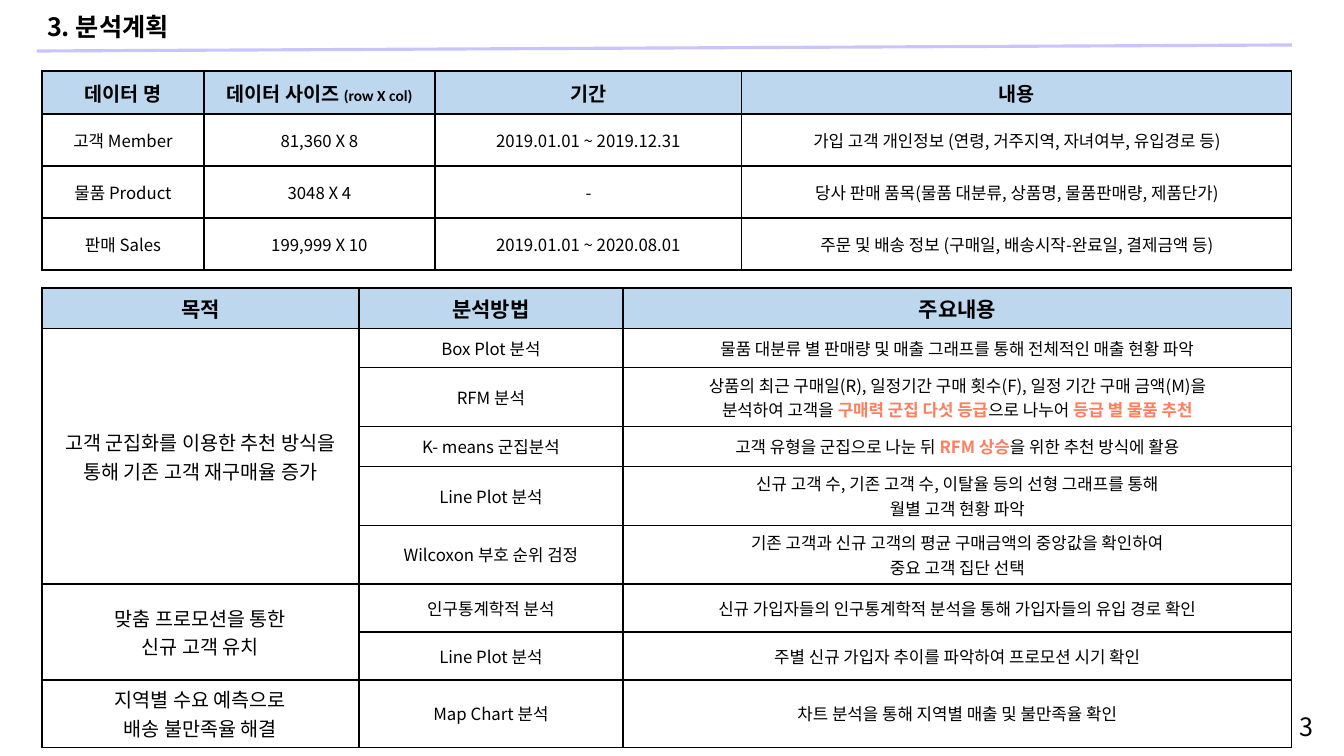
import pptx
import pptx.util
import pptx.dml.color
import pptx.enum.shapes
import pptx.enum.text
import pptx.oxml.ns
import lxml.etree

RGBColor = pptx.dml.color.RGBColor
BLACK = RGBColor(0x00, 0x00, 0x00)
HEADER_BLUE = RGBColor(0xBD, 0xD7, 0xEE)
LAVENDER = RGBColor(0xCA, 0xC4, 0xFD)
CORAL = RGBColor(0xFF, 0x7E, 0x5E)

ALIGN = pptx.enum.text.PP_ALIGN
ANCHOR = pptx.enum.text.MSO_ANCHOR
BODY_FONT = "Noto Sans CJK KR"
HEADER_FONT = "Calibri"
EMU_PER_PX = 914400 / 100.8

ACCENT = {"color": CORAL, "bold": True}

DATA_ROWS = [
    ["데이터 명", [["데이터 사이즈 ", ("(row X col)", {"size": 11})]], "기간", "내용"],
    ["고객 Member", "81,360 X 8", "2019.01.01 ~ 2019.12.31",
     "가입 고객 개인정보 (연령, 거주지역, 자녀여부, 유입경로 등)"],
    ["물품 Product", "3048 X 4", "-",
     "당사 판매 품목(물품 대분류, 상품명, 물품판매량, 제품단가)"],
    ["판매 Sales", "199,999 X 10", "2019.01.01 ~ 2020.08.01",
     "주문 및 배송 정보 (구매일, 배송시작-완료일, 결제금액 등)"],
]

PLAN_ROWS = [
    ["목적", "분석방법", "주요내용"],
    [[["고객 군집화를 이용한 추천 방식을"], ["통해 기존 고객 재구매율 증가"]],
     "Box Plot 분석",
     "물품 대분류 별 판매량 및 매출 그래프를 통해 전체적인 매출 현황 파악"],
    [None, "RFM 분석",
     [["상품의 최근 구매일(R), 일정기간 구매 횟수(F), 일정 기간 구매 금액(M)을\n분석하여 고객을 ",
       ("구매력 군집 다섯 등급", ACCENT), "으로 나누어 ",
       ("등급 별 물품 추천", ACCENT)]]],
    [None, "K- means 군집분석",
     [["고객 유형을 군집으로 나눈 뒤 ", ("RFM 상승", ACCENT),
       "을 위한 추천 방식에 활용"]]],
    [None, "Line Plot 분석",
     [["신규 고객 수, 기존 고객 수, 이탈율 등의 선형 그래프를 통해"],
      ["월별 고객 현황 파악"]]],
    [None, "Wilcoxon 부호 순위 검정",
     [["기존 고객과 신규 고객의 평균 구매금액의 중앙값을 확인하여"],
      ["중요 고객 집단 선택"]]],
    ["맞춤 프로모션을 통한\n신규 고객 유치", "인구통계학적 분석",
     "신규 가입자들의 인구통계학적 분석을 통해 가입자들의 유입 경로 확인"],
    [None, "Line Plot 분석", "주별 신규 가입자 추이를 파악하여 프로모션 시기 확인"],
    [[["지역별 수요 예측으로"], ["배송 불만족율 해결"]], "Map Chart 분석",
     "차트 분석을 통해 지역별 매출 및 불만족율 확인"],
]


def px(n):
    return pptx.util.Emu(round(n * EMU_PER_PX))


class Deck:
    def __init__(self, width, height):
        self.prs = pptx.Presentation()
        self.prs.slide_width = px(width)
        self.prs.slide_height = px(height)
        self.slide = self.prs.slides.add_slide(self.prs.slide_layouts[5])

    def add_run(self, p, text, size, font=BODY_FONT, color=BLACK, bold=False):
        for i, line in enumerate(text.split("\n")):
            if i:
                p.add_line_break()
            r = p.add_run()
            r.text = line
            r.font.size = pptx.util.Pt(size)
            r.font.bold = bold
            r.font.color.rgb = color
            r.font.name = font
            ea = lxml.etree.SubElement(r._r.get_or_add_rPr(), pptx.oxml.ns.qn("a:ea"))
            ea.set("typeface", BODY_FONT)

    def fill_text(self, tf, content, align, **style):
        paragraphs = [[content]] if isinstance(content, str) else content
        for i, runs in enumerate(paragraphs):
            p = tf.add_paragraph() if i else tf.paragraphs[0]
            p.alignment = align
            for item in runs:
                text, extra = (item, {}) if isinstance(item, str) else item
                self.add_run(p, text, **{**style, **extra})

    def title(self, text, x, y, w, h):
        sp = self.slide.shapes.title
        sp.left, sp.top, sp.width, sp.height = px(x), px(y), px(w), px(h)
        tf = sp.text_frame
        tf.auto_size = pptx.enum.text.MSO_AUTO_SIZE.NONE
        tf.word_wrap = False
        tf.vertical_anchor = ANCHOR.MIDDLE
        self.fill_text(tf, text, ALIGN.LEFT, size=18, bold=True)
        tf.paragraphs[0].line_spacing = 0.9

    def text(self, text, x, y, w, h, align):
        sp = self.slide.shapes.add_textbox(px(x), px(y), px(w), px(h))
        sp.text_frame.word_wrap = True
        self.fill_text(sp.text_frame, text, align, size=18)

    def line(self, x1, y1, x2, y2, color, weight):
        sp = self.slide.shapes.add_connector(
            pptx.enum.shapes.MSO_CONNECTOR.STRAIGHT, px(x1), px(y1), px(x2), px(y2))
        sp.line.color.rgb = color
        sp.line.width = pptx.util.Pt(weight)
        lxml.etree.SubElement(sp._element.spPr, pptx.oxml.ns.qn("a:effectLst"))

    def border(self, cell):
        qn = pptx.oxml.ns.qn
        tcPr = cell._tc.get_or_add_tcPr()
        for side in ("a:lnL", "a:lnR", "a:lnT", "a:lnB"):
            ln = lxml.etree.SubElement(tcPr, qn(side), w=str(pptx.util.Pt(1)))
            fill = lxml.etree.SubElement(ln, qn("a:solidFill"))
            lxml.etree.SubElement(fill, qn("a:srgbClr"), val=str(BLACK))

    def table(self, rows, x, y, widths, heights, header_size, first_size, first_font):
        table = self.slide.shapes.add_table(
            len(rows), len(widths), px(x), px(y), px(sum(widths)), px(sum(heights))).table
        table.horz_banding = False
        for column, width in zip(table.columns, widths):
            column.width = px(width)
        for row, height in zip(table.rows, heights):
            row.height = px(height)
        for i, contents in enumerate(rows):
            for j, content in enumerate(contents):
                cell = table.cell(i, j)
                self.border(cell)
                cell.vertical_anchor = ANCHOR.MIDDLE
                if i == 0:
                    cell.fill.solid()
                    cell.fill.fore_color.rgb = HEADER_BLUE
                    style = {"size": header_size, "font": HEADER_FONT, "bold": True}
                else:
                    cell.fill.background()
                    style = {"size": 12}
                    if j == 0:
                        style = {"size": first_size, "font": first_font}
                if content is not None:
                    self.fill_text(cell.text_frame, content, ALIGN.CENTER, **style)
        starts = [i for i, contents in enumerate(rows) if contents[0] is not None]
        for start, end in zip(starts, starts[1:] + [len(rows)]):
            if end - start > 1:
                table.cell(start, 0).merge(table.cell(end - 1, 0))


def main():
    deck = Deck(1344, 756)
    deck.title("3. 분석계획", 37, 8, 177, 41)
    deck.line(37, 51, 1292, 45, LAVENDER, 2.25)
    deck.table(PLAN_ROWS, 42, 288, [317, 264, 669],
               [33, 39, 51, 40, 40, 40, 48, 48, 57], 15, 14, BODY_FONT)
    deck.text("3", 1224, 706, 99, 41, ALIGN.RIGHT)
    deck.table(DATA_ROWS, 42, 71, [162, 231, 307, 550], [43, 52, 52, 52],
               14, 12, BODY_FONT)
    deck.prs.save("out.pptx")


if __name__ == "__main__":
    main()
